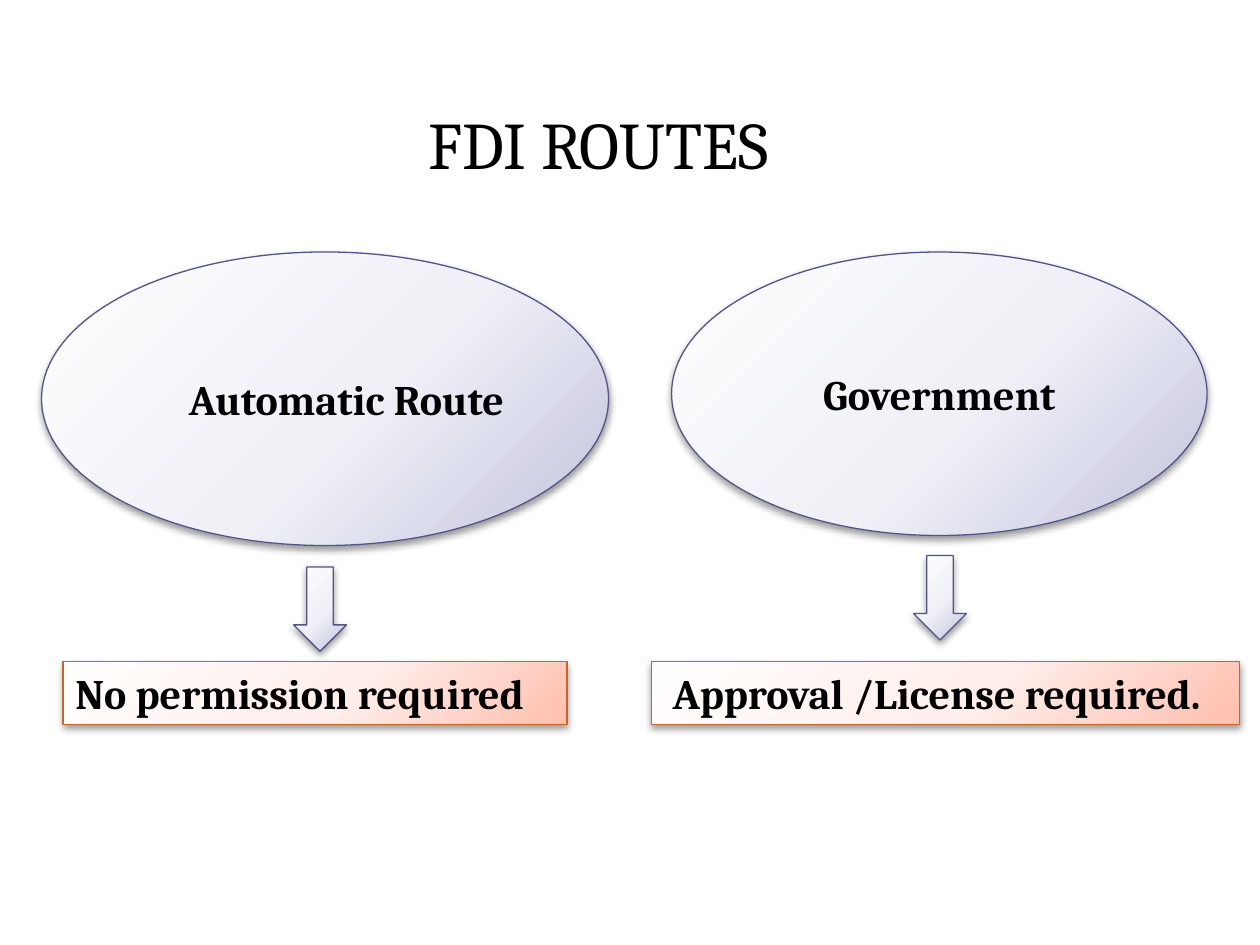
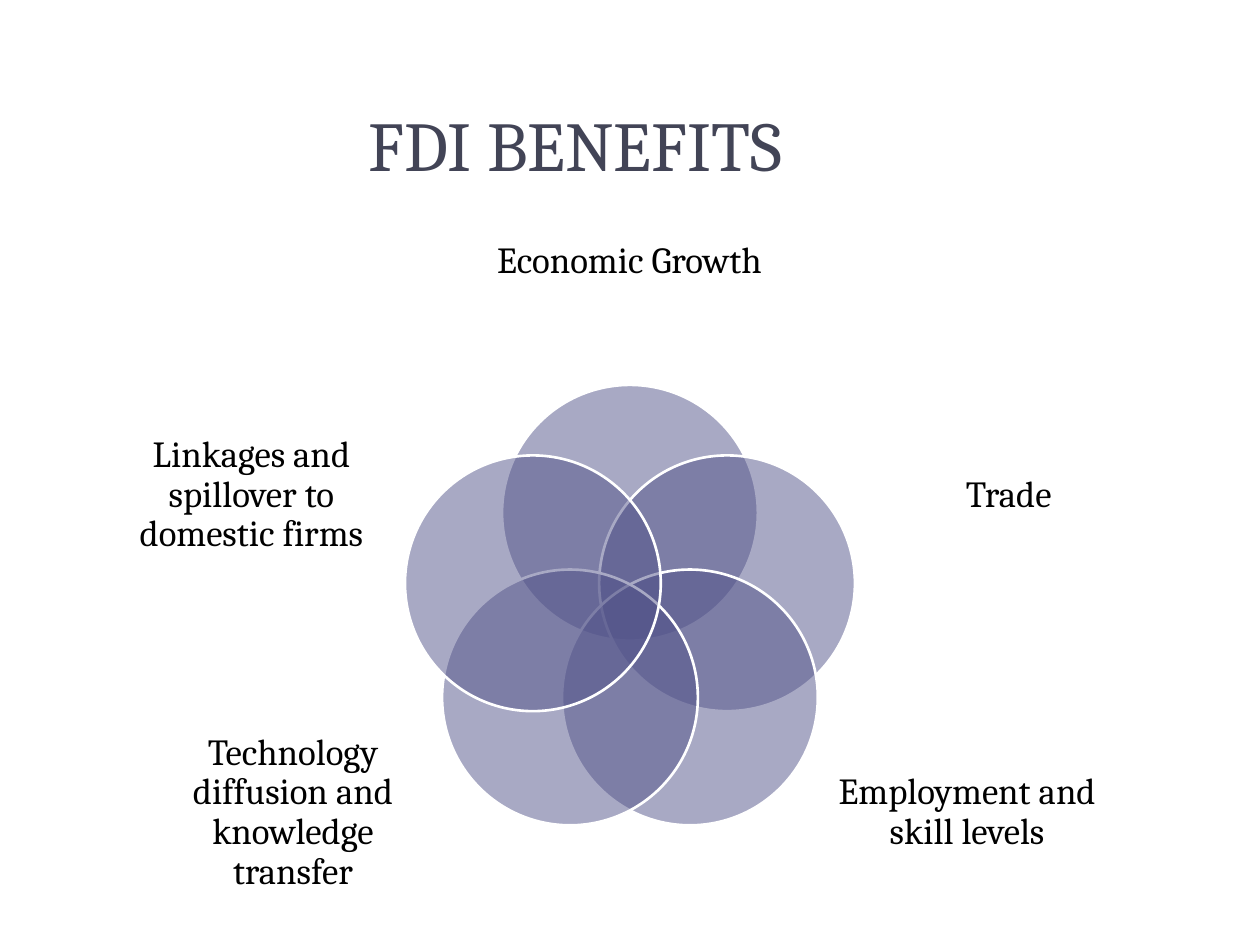
import math

from pptx import Presentation
from pptx.dml.color import RGBColor
from pptx.enum import shapes, text
from pptx.oxml import ns, parse_xml
from pptx.util import Inches, Pt

FONT = "Cambria"
BLACK = RGBColor(0x00, 0x00, 0x00)
WHITE = RGBColor(0xFF, 0xFF, 0xFF)
SLATE = RGBColor(0x42, 0x44, 0x56)
INDIGO = RGBColor(0x53, 0x54, 0x8A)
RUST = RGBColor(0xC4, 0x65, 0x2D)
# Each style is a line colour and the colours of its gradient stops
LAVENDER_STYLE = (INDIGO, [RGBColor(0xFE, 0xFE, 0xFE), RGBColor(0xF0, 0xF1, 0xF7),
                           RGBColor(0xC2, 0xC2, 0xDD)])
PEACH_STYLE = (RUST, [RGBColor(0xFF, 0xFE, 0xFD), RGBColor(0xFF, 0xEF, 0xEC),
                      RGBColor(0xFF, 0xBF, 0xAE)])
STOPS = (0, 55, 100)
CENTER, LEFT, JUSTIFY = (text.PP_ALIGN.CENTER, text.PP_ALIGN.LEFT,
                         text.PP_ALIGN.JUSTIFY)
TOP, MIDDLE = text.MSO_ANCHOR.TOP, text.MSO_ANCHOR.MIDDLE
SHAPE = shapes.MSO_SHAPE

ROUTES = [
    {"name": "Automatic Route", "oval": (0.33, 2, 4.5, 2.33), "name_indent": 0.34,
     "arrow": (2.33, 4.5), "rule": "No permission required",
     "box": (0.5, 5.25, 4, 0.5), "rule_align": JUSTIFY, "rule_indent": 0},
    {"name": "Government", "oval": (5.33, 2, 4.25, 2.25), "name_indent": 0,
     "arrow": (7.25, 4.41), "rule": "Approval /License required.",
     "box": (5.17, 5.25, 4.67, 0.5), "rule_align": LEFT, "rule_indent": 0.07},
]
ARROW_SIZE = (0.42, 0.67)

# Clockwise from the top
BENEFITS = [
    ("Economic Growth", (3.82, 1.85, 2.35, 0.46)),
    ("Trade", (6.95, 3.19, 2.11, 1.48)),
    ("Employment and skill levels", (6.62, 5.71, 2.11, 1.48)),
    ("Technology diffusion and knowledge transfer", (1.27, 5.71, 2.11, 1.48)),
    ("Linkages and spillover to domestic firms", (0.94, 3.19, 2.11, 1.48)),
]
RING_CENTER = (5, 4.88)
RING_RADIUS = 0.81
CIRCLE_SIZE = 2.03


def inches(box):
    """Turn a tuple of inches into lengths."""
    return [Inches(value) for value in box]


def write(shape, words, size, color=BLACK, bold=False, align=CENTER,
          anchor=TOP, wrap=True, indent=0, line_spacing=None):
    """Write one formatted paragraph into a shape."""
    frame = shape.text_frame
    frame.text = words
    frame.word_wrap = wrap
    frame.vertical_anchor = anchor
    paragraph = frame.paragraphs[0]
    paragraph.alignment = align
    if line_spacing:
        paragraph.line_spacing = line_spacing
    if indent:
        paragraph._p.get_or_add_pPr().set("marL", str(Inches(indent)))
    font = paragraph.runs[0].font
    font.name, font.size, font.bold = FONT, Pt(size), bold
    font.color.rgb = color


def add_title(slide, box, words, size, color, line_spacing=None):
    """Add the centred slide title."""
    write(slide.shapes.add_textbox(*inches(box)), words, size, color,
          line_spacing=line_spacing)


def add_plain(parent, kind, box, fill, line, width):
    """Add a preset shape with a solid fill, a line and no shadow."""
    shape = parent.shapes.add_shape(kind, *inches(box))
    shape.shadow.inherit = False
    shape.fill.solid()
    shape.fill.fore_color.rgb = fill
    shape.line.color.rgb = line
    shape.line.width = Pt(width)
    return shape


def add_glossy(slide, kind, box, style):
    """Add a shape with a radial gradient and a soft shadow below."""
    line, colors = style
    shape = add_plain(slide, kind, box, colors[0], line, 0.75)
    properties = shape._element.spPr
    stops = "".join(
        f'<a:gs pos="{stop * 1000}"><a:srgbClr val="{color}"/></a:gs>'
        for stop, color in zip(STOPS, colors))
    gradient = parse_xml(
        f'<a:gradFill {ns.nsdecls("a")} rotWithShape="1"><a:gsLst>{stops}</a:gsLst>'
        '<a:path path="circle"><a:fillToRect l="-40000" t="-90000" '
        'r="140000" b="190000"/></a:path></a:gradFill>')
    properties.replace(properties.find(ns.qn("a:solidFill")), gradient)
    properties.find(ns.qn("a:effectLst")).append(parse_xml(
        f'<a:outerShdw {ns.nsdecls("a")} blurRad="{Pt(4.1)}" dist="{Pt(2)}" '
        'dir="5400000" rotWithShape="0"><a:srgbClr val="000000">'
        '<a:alpha val="40000"/></a:srgbClr></a:outerShdw>'))
    return shape


def build_routes(slide):
    """Draw each route as an oval, an arrow and the rule it leads to."""
    add_title(slide, (0.25, 0.84, 9, 0.71), "FDI ROUTES", 38, BLACK, 0.9)
    for route in ROUTES:
        oval = add_glossy(slide, SHAPE.OVAL, route["oval"], LAVENDER_STYLE)
        write(oval, route["name"], 24, bold=True, anchor=MIDDLE, wrap=False,
              indent=route["name_indent"])
        box = add_glossy(slide, SHAPE.RECTANGLE, route["box"], PEACH_STYLE)
        write(box, route["rule"], 24, bold=True, align=route["rule_align"],
              indent=route["rule_indent"])
        add_glossy(slide, SHAPE.DOWN_ARROW, route["arrow"] + ARROW_SIZE,
                   LAVENDER_STYLE)


def build_benefits(slide):
    """Draw a ring of overlapping circles with a label beside each."""
    diagram = slide.shapes.add_group_shape()
    for index, (benefit, label_box) in enumerate(BENEFITS):
        angle = 2 * math.pi * index / len(BENEFITS)
        left = RING_CENTER[0] + RING_RADIUS * math.sin(angle) - CIRCLE_SIZE / 2
        top = RING_CENTER[1] - RING_RADIUS * math.cos(angle) - CIRCLE_SIZE / 2
        circle = add_plain(diagram, SHAPE.OVAL,
                           (left, top, CIRCLE_SIZE, CIRCLE_SIZE),
                           INDIGO, WHITE, 1.5)
        color = circle._element.spPr.find(ns.qn("a:solidFill"))[0]
        color.append(parse_xml(f'<a:alpha {ns.nsdecls("a")} val="50000"/>'))
        label = diagram.shapes.add_textbox(*inches(label_box))
        frame = label.text_frame
        frame.margin_left = frame.margin_right = 0
        frame.margin_top = frame.margin_bottom = 0
        write(label, benefit, 21, anchor=MIDDLE, line_spacing=0.9)
    add_title(slide, (1.61, 0.76, 5.91, 0.77), "FDI BENEFITS", 40, SLATE)


presentation = Presentation()
presentation.slide_width, presentation.slide_height = Inches(10), Inches(7.5)
for build in (build_routes, build_benefits):
    build(presentation.slides.add_slide(presentation.slide_layouts[6]))
presentation.save("out.pptx")
